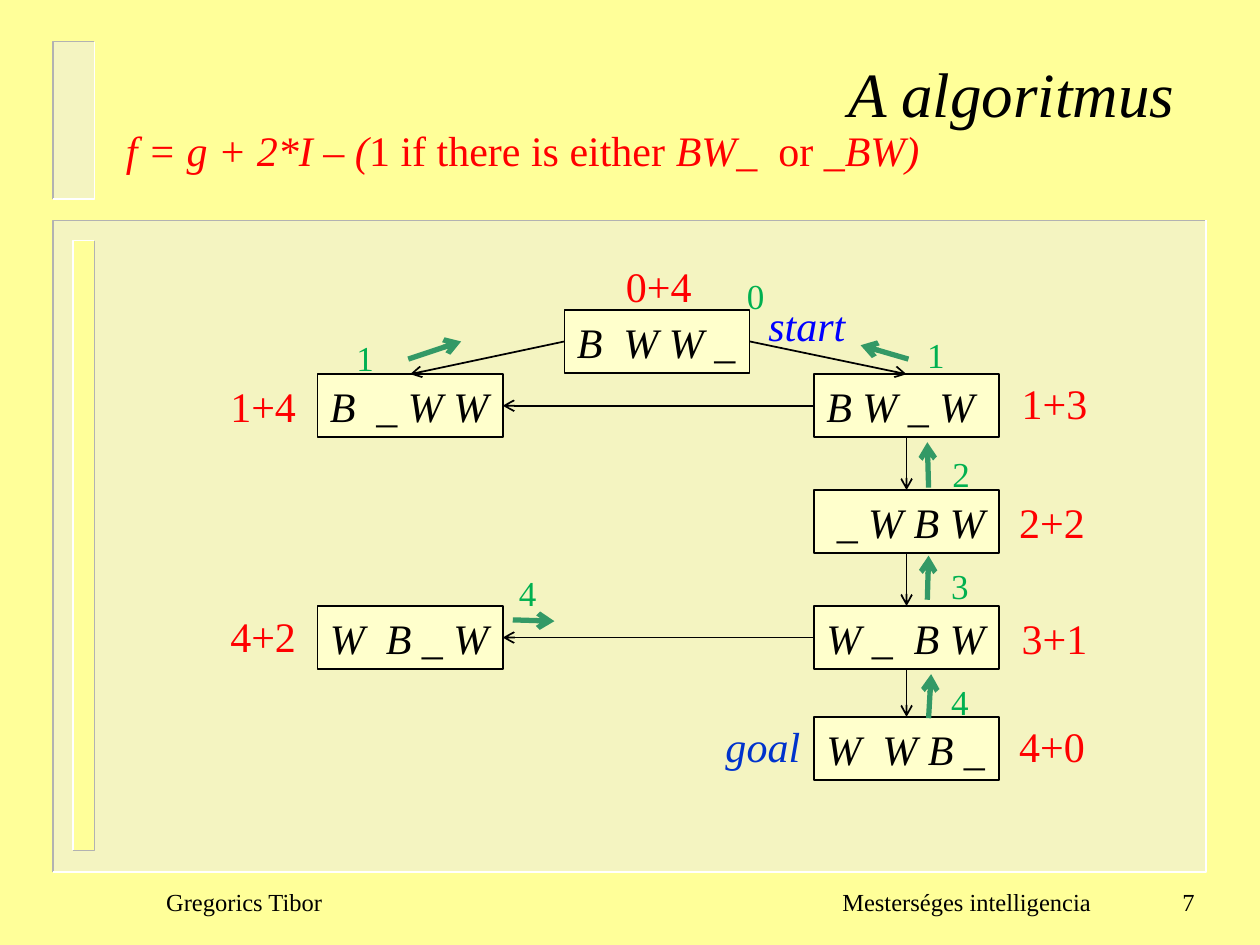
from dataclasses import dataclass

from lxml.etree import SubElement
from pptx import Presentation
from pptx.dml.color import RGBColor
from pptx.enum.shapes import MSO_CONNECTOR as CONN, MSO_SHAPE as SHAPE
from pptx.enum.text import MSO_ANCHOR as ANCHOR, MSO_AUTO_SIZE as AUTO, PP_ALIGN as ALIGN
from pptx.oxml.ns import qn
from pptx.util import Inches, Pt

FONT = "Times New Roman"
BLACK, RED, GREEN, ARROW = "000000", "FF0000", "00B050", "339966"
YELLOW, CREAM, GRAY, DARK, LIGHT = "FFFF99", "FFFFCC", "EAEAEA", "B2B2B2", "FFFFFF"
NODE_W, NODE_H = 1.47, 0.5
LEFT, MID, RIGHT = 2.52, 4.48, 6.46
TOP_SITE, LEFT_SITE, BOTTOM_SITE, RIGHT_SITE = range(4)


@dataclass
class Panel:
    x: float
    y: float
    w: float
    h: float
    fill: str
    upper_left: str
    lower_right: str
    alpha: int = 100


@dataclass
class Node:
    text: str
    x: float
    y: float


@dataclass
class Edge:
    start: str
    start_site: int
    end: str
    end_site: int


@dataclass
class Label:
    text: str
    x: float
    y: float
    w: float = 0.73
    h: float = 0.5
    color: str = RED
    size: int = 24
    italic: bool = False
    align: ALIGN = ALIGN.LEFT
    anchor: ANCHOR = ANCHOR.TOP


PANELS = [
    Panel(0.42, 1.75, 9.15, 5.17, GRAY, DARK, LIGHT, 50),
    Panel(0.58, 1.91, 0.17, 4.84, YELLOW, LIGHT, DARK),
    Panel(0.42, 0.33, 0.33, 1.25, GRAY, DARK, LIGHT, 50),
]
NODES = {
    "start": Node("B  W W _", MID, 2.46),
    "left": Node("B  _ W W", LEFT, 2.97),
    "right": Node("B W _ W", RIGHT, 2.97),
    "second": Node(" _ W B W", RIGHT, 3.89),
    "third": Node("W _  B W", RIGHT, 4.81),
    "side": Node("W  B _ W", LEFT, 4.81),
    "goal": Node("W  W B _", RIGHT, 5.69),
}
EDGES = [
    Edge("start", LEFT_SITE, "left", TOP_SITE),
    Edge("start", RIGHT_SITE, "right", TOP_SITE),
    Edge("right", LEFT_SITE, "left", RIGHT_SITE),
    Edge("right", BOTTOM_SITE, "second", TOP_SITE),
    Edge("second", BOTTOM_SITE, "third", TOP_SITE),
    Edge("third", LEFT_SITE, "side", RIGHT_SITE),
    Edge("third", BOTTOM_SITE, "goal", TOP_SITE),
]
BACK_ARROWS = [
    (3.24, 2.85, 3.66, 2.71),
    (7.21, 2.85, 6.83, 2.74),
    (7.37, 3.87, 7.36, 3.51),
    (7.36, 4.76, 7.37, 4.41),
    (7.37, 5.7, 7.39, 5.35),
    (4.07, 4.92, 4.4, 4.93),
]
COSTS = [
    ("0+4", 4.87, 2.02), ("1+4", 1.73, 2.97), ("1+3", 8.01, 2.95), ("2+2", 7.99, 3.89),
    ("4+2", 1.73, 4.8), ("3+1", 8.01, 4.81), ("4+0", 7.99, 5.67),
]
DEPTHS = [
    ("0", 5.83, 2.13), ("1", 2.73, 2.62), ("1", 7.26, 2.6), ("2", 7.46, 3.54),
    ("3", 7.45, 4.43), ("4", 4.02, 4.49), ("4", 7.45, 5.35),
]
FOOTER = dict(y=6.91, color=BLACK, size=14, anchor=ANCHOR.MIDDLE)
LABELS = [
    *(Label(*cost) for cost in COSTS),
    *(Label(*depth, w=0.34, h=0.44, color=GREEN, size=20) for depth in DEPTHS),
    Label("start", 6, 2.33, w=0.82, color="0000FF", italic=True),
    Label("goal", 5.66, 5.67, w=0.8, color="0033CC", italic=True),
    Label("Gregorics Tibor", 1.22, w=2, **FOOTER),
    Label("Mesterséges intelligencia", 6.26, w=2.5, align=ALIGN.RIGHT, **FOOTER),
    Label("7", 7.5, w=2.08, align=ALIGN.RIGHT, **FOOTER),
]
FORMULA = [
    ("f = g + 2*I ‒ (", True), ("1 if there is either ", False), ("BW_  ", True),
    ("or", False), (" _BW)", True),
]


def rgb(color: str) -> RGBColor:
    return RGBColor.from_string(color)


def set_font(font, size: int, color: str, italic: bool | None = None) -> None:
    font.name, font.size, font.italic = FONT, Pt(size), italic
    font.color.rgb = rgb(color)


def set_fill(shape, color: str, alpha: int = 100) -> None:
    shape.fill.solid()
    shape.fill.fore_color.rgb = rgb(color)
    if alpha < 100:
        clr = shape.fill._xPr.find(qn("a:solidFill"))[0]
        SubElement(clr, qn("a:alpha")).set("val", str(alpha * 1000))


def set_line(shape, color: str, width: float) -> None:
    shape.line.color.rgb = rgb(color)
    shape.line.width = Pt(width)


def add_rect(s, x: float, y: float, w: float, h: float):
    sp = s.shapes.add_shape(SHAPE.RECTANGLE, Inches(x), Inches(y), Inches(w), Inches(h))
    sp.shadow.inherit = False
    return sp


def add_panel(s, panel: Panel) -> None:
    sp = add_rect(s, panel.x, panel.y, panel.w, panel.h)
    set_fill(sp, panel.fill, panel.alpha)
    sp.line.fill.background()
    left, top = sp.left, sp.top
    right, bottom = left + sp.width, top + sp.height
    corners = [((left, top), panel.upper_left), ((right, bottom), panel.lower_right)]
    for corner, color in corners:
        fb = s.shapes.build_freeform(right, top)
        fb.add_line_segments([corner, (left, bottom)], close=False)
        edge = fb.convert_to_shape()
        edge.shadow.inherit = False
        edge.fill.background()
        set_line(edge, color, 1)


def add_node(s, node: Node):
    sp = add_rect(s, node.x, node.y, NODE_W, NODE_H)
    set_fill(sp, CREAM)
    set_line(sp, BLACK, 1)
    tf = sp.text_frame
    tf.word_wrap, tf.vertical_anchor = False, ANCHOR.TOP
    p = tf.paragraphs[0]
    p.text, p.alignment = node.text, ALIGN.LEFT
    set_font(p.font, 24, BLACK, True)
    return sp


def add_arrow(s, ends: tuple[float, float, float, float], color: str, width: float):
    cxn = s.shapes.add_connector(CONN.STRAIGHT, *map(Inches, ends))
    set_line(cxn, color, width)
    SubElement(cxn.line._get_or_add_ln(), qn("a:tailEnd")).set("type", "arrow")
    SubElement(cxn._element.spPr, qn("a:effectLst"))
    return cxn


def add_label(s, label: Label):
    sp = s.shapes.add_textbox(Inches(label.x), Inches(label.y), Inches(label.w), Inches(label.h))
    tf = sp.text_frame
    tf.word_wrap, tf.vertical_anchor = False, label.anchor
    p = tf.paragraphs[0]
    p.text, p.alignment = label.text, label.align
    set_font(p.font, label.size, label.color, label.italic)
    return p


def add_title(s) -> None:
    sp = s.shapes.title
    sp.left, sp.top, sp.width, sp.height = map(Inches, (0.92, 0.38, 8.5, 1.21))
    tf = sp.text_frame
    tf.vertical_anchor, tf.auto_size = ANCHOR.TOP, AUTO.NONE
    p = tf.paragraphs[0]
    p.text, p.alignment = "A algoritmus", ALIGN.RIGHT
    set_font(p.font, 36, BLACK, True)


def main() -> None:
    prs = Presentation()
    prs.slide_width, prs.slide_height = Inches(10), Inches(7.5)
    s = prs.slides.add_slide(prs.slide_layouts[5])
    set_fill(s.background, YELLOW)
    add_title(s)
    for panel in PANELS:
        add_panel(s, panel)
    boxes = {name: add_node(s, node) for name, node in NODES.items()}
    for edge in EDGES:
        cxn = add_arrow(s, (0, 0, 0, 0), BLACK, 1)
        cxn.begin_connect(boxes[edge.start], edge.start_site)
        cxn.end_connect(boxes[edge.end], edge.end_site)
    for ends in BACK_ARROWS:
        add_arrow(s, ends, ARROW, 3)
    for label in LABELS:
        add_label(s, label)
    p = add_label(s, Label("", 0.9, 0.94, w=6.6))
    for text, italic in FORMULA:
        r = p.add_run()
        r.text = text
        set_font(r.font, 24, RED, italic)
    prs.save("out.pptx")


if __name__ == "__main__":
    main()
